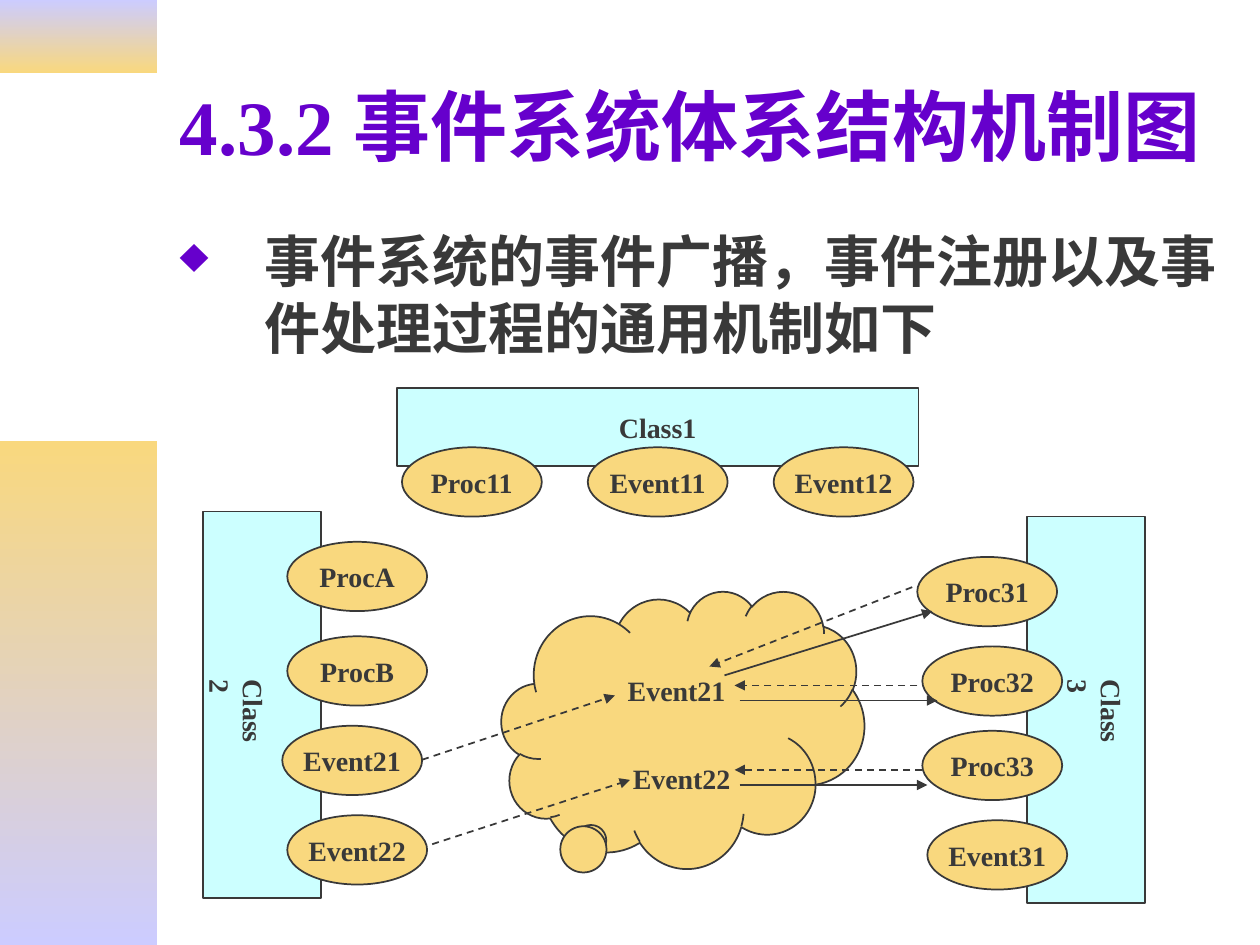
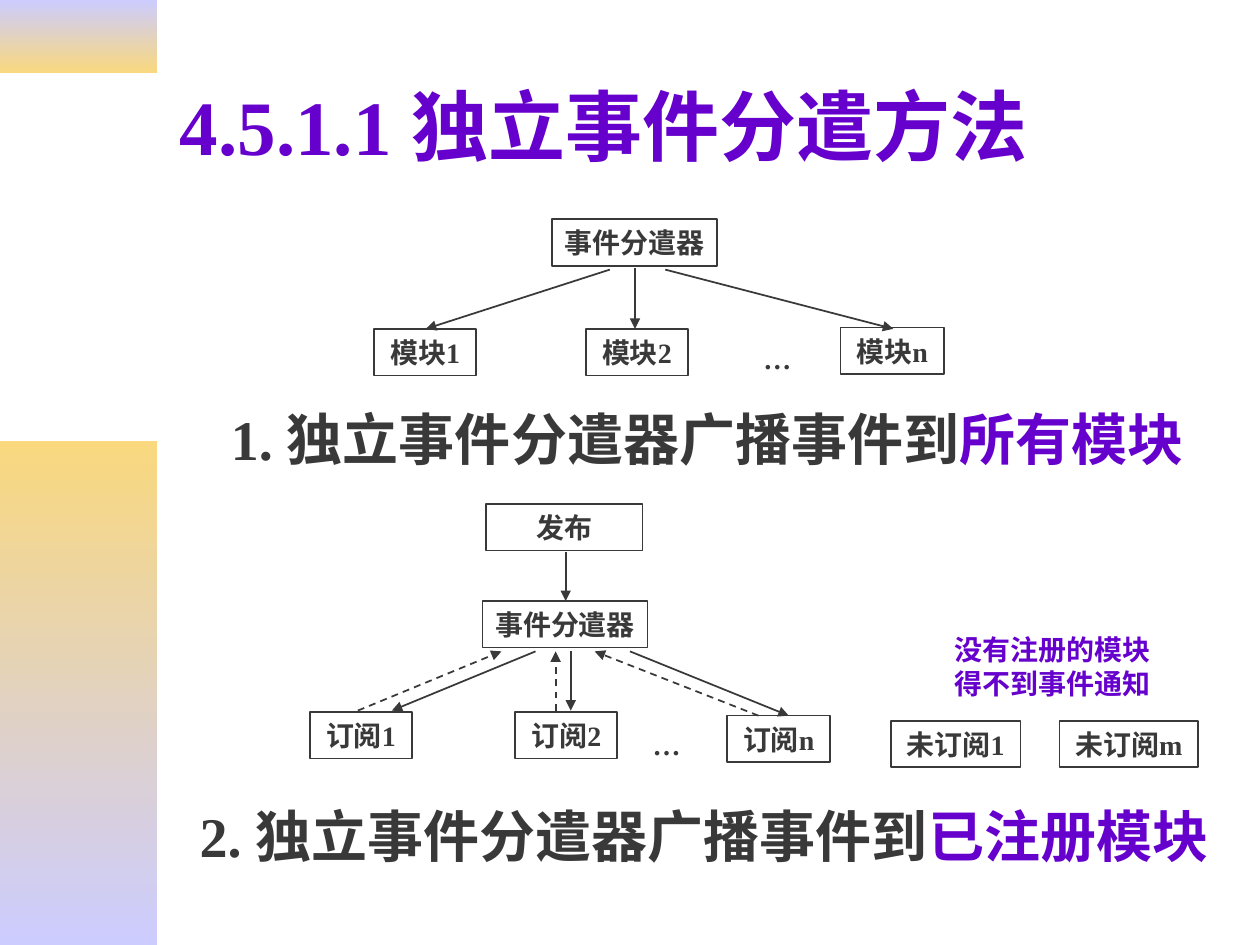
"""Two slides on how an event system registers and dispatches events."""
from lxml import etree
from pptx import Presentation
from pptx.dml.color import RGBColor
from pptx.enum.dml import MSO_LINE
from pptx.enum.shapes import MSO_CONNECTOR, MSO_SHAPE
from pptx.enum.text import MSO_ANCHOR, PP_ALIGN
from pptx.oxml.ns import qn
from pptx.util import Inches, Pt

RECT, OVAL, CLOUD = MSO_SHAPE.RECTANGLE, MSO_SHAPE.OVAL, MSO_SHAPE.CLOUD_CALLOUT
LINE, DASH = MSO_CONNECTOR.STRAIGHT, MSO_LINE.DASH
LEFT, MID = PP_ALIGN.LEFT, PP_ALIGN.CENTER
TOP, CENTER = MSO_ANCHOR.TOP, MSO_ANCHOR.MIDDLE
FONT = "Times New Roman"
INK, VIOLET, GOLD, LILAC, AQUA = "393939", "6600CC", "F9D87E", "CCCCFF", "CCFFFF"
HIGH = 0.37


def paint(target, color):
    """Give a fill or a font a solid colour."""
    if hasattr(target, "solid"):
        target.solid()
        target.fore_color.rgb = RGBColor.from_string(color)
    else:
        target.color.rgb = RGBColor.from_string(color)


def sub(parent, tag, **attrs):
    """Append a DrawingML element with the given attributes."""
    return etree.SubElement(parent, qn(tag), **attrs)


def write(shape, lines, size=16, align=MID, anchor=CENTER, wrap=False):
    """Fill a shape with lines, each a list of (text, colour) runs."""
    frame = shape.text_frame
    frame.word_wrap = wrap
    frame.vertical_anchor = anchor
    for i, runs in enumerate(lines):
        para = frame.add_paragraph() if i else frame.paragraphs[0]
        para.alignment = align
        for text, color in runs:
            run = para.add_run()
            run.text = text
            run.font.name, run.font.size, run.font.bold = FONT, Pt(size), True
            paint(run.font, color)


def text(slide, at, lines, **style):
    """Add a text box and return it."""
    box = slide.shapes.add_textbox(*map(Inches, at))
    write(box, lines, **style)
    return box


def node(slide, at, label="", fill=None, kind=RECT):
    """Add an outlined shape with an optional label."""
    shape = slide.shapes.add_shape(kind, *map(Inches, at))
    shape.shadow.inherit = False
    if fill:
        paint(shape.fill, fill)
    else:
        shape.fill.background()
    paint(shape.line.fill, INK)
    shape.line.width = Pt(1)
    if label:
        write(shape, [[(label, INK)]])
    return shape


def arrow(slide, x1, y1, x2, y2, dash=False):
    """Draw a solid or dashed arrow from one point to another."""
    link = slide.shapes.add_connector(LINE, *map(Inches, (x1, y1, x2, y2)))
    paint(link.line.fill, INK)
    link.line.width = Pt(1)
    if dash:
        link.line.dash_style = DASH
    props = link._element.spPr
    sub(props.find(qn("a:ln")), "a:tailEnd", type="triangle")
    sub(props, "a:effectLst")


def band(slide, top, height, colors):
    """Draw a side band that fades downwards between two colours."""
    shape = slide.shapes.add_shape(RECT, 0, Inches(top), Inches(1.25), Inches(height))
    shape.shadow.inherit = False
    shape.line.fill.background()
    shape.fill.gradient()
    shape.fill.gradient_angle = 270
    for stop, color in zip(shape.fill.gradient_stops, colors):
        paint(stop, color)


def start(deck, title):
    """Add a slide with the side bands and a title."""
    slide = deck.slides.add_slide(deck.slide_layouts[6])
    band(slide, 0, 0.58, (LILAC, GOLD))
    band(slide, 3.5, 4, (GOLD, LILAC))
    text(slide, (1.33, 0.33, 8.5, 1.32), [[(title, VIOLET)]],
         size=44, align=LEFT, wrap=True)
    return slide


def body(slide, at, runs, align=MID, bullet=False):
    """Add a large hanging paragraph, with or without a bullet."""
    box = text(slide, at, [runs], size=32, align=align, anchor=TOP, wrap=True)
    props = box.text_frame.paragraphs[0]._p.get_or_add_pPr()
    props.set("marL", str(Inches(0.67)))
    props.set("indent", str(-Inches(0.67)))
    if bullet:
        sub(sub(props, "a:buClr"), "a:srgbClr", val=VIOLET)
        sub(props, "a:buSzPct", val="90000")
        sub(props, "a:buChar", char="♦")


def oval(slide, left, top, label):
    """Add a procedure or event ellipse."""
    node(slide, (left, top, 1.11, 0.55), label, GOLD, OVAL)


def side(slide, left, top, x, label, members):
    """Add a tall class block with a vertical name and its ellipses."""
    node(slide, (left, top, 0.94, 3.07), fill=AQUA)
    name = text(slide, (x, 5.29, 0.46, 0.79), [[(label, INK)]],
                align=LEFT, anchor=TOP, wrap=True)
    frame = name.text_frame
    frame.margin_left = frame.margin_right = Inches(0.05)
    frame.margin_top = frame.margin_bottom = Inches(0.1)
    frame._txBody.bodyPr.set("vert", "eaVert")
    for member in members:
        oval(slide, *member)


def scheme(deck):
    """Build the slide on the event system structure."""
    slide = start(deck, "4.3.2 事件系统体系结构机制图")
    body(slide, (1.33, 1.75, 8.5, 1.41),
         [("事件系统的事件广播，事件注册以及事件处理过程的通用机制如下", INK)], LEFT, True)
    node(slide, (3.15, 3.08, 4.14, 0.62), "Class1", AQUA)
    for i, label in enumerate(("Proc11", "Event11", "Event12")):
        oval(slide, 3.19 + 1.475 * i, 3.55, label)
    side(slide, 1.61, 4.06, 1.74, "Class2", (
        (2.28, 4.3, "ProcA"), (2.28, 5.05, "ProcB"),
        (2.24, 5.76, "Event21"), (2.28, 6.47, "Event22")))
    side(slide, 8.15, 4.1, 8.55, "Class3", (
        (7.28, 4.42, "Proc31"), (7.32, 5.13, "Proc32"),
        (7.32, 5.8, "Proc33"), (7.36, 6.51, "Event31")))
    cloud = node(slide, (3.98, 4.69, 2.88, 2.2), fill=GOLD, kind=CLOUD)
    cloud.adjustments[0], cloud.adjustments[1] = -0.26, 0.41
    for left, top, label in ((4.88, 5.29, "Event21"), (4.92, 5.99, "Event22")):
        text(slide, (left, top, 0.98, HIGH), [[(label, INK)]])
    for ends in ((3.35, 6.03, 4.88, 5.52), (3.43, 6.7, 5, 6.19),
                 (7.24, 4.66, 5.63, 5.29), (7.28, 5.44, 5.83, 5.44),
                 (7.32, 6.11, 5.83, 6.11)):
        arrow(slide, *ends, dash=True)
    for ends in ((5.75, 5.36, 7.4, 4.85), (5.87, 5.56, 7.44, 5.56),
                 (5.87, 6.23, 7.36, 6.23)):
        arrow(slide, *ends)


def dispatch(deck):
    """Build the slide on the two ways of dispatching events."""
    slide = start(deck, "4.5.1.1 独立事件分遣方法")
    body(slide, (1.5, 3.16, 8.23, 0.66),
         [("1. 独立事件分遣器广播事件到", INK), ("所有模块", VIOLET)])
    body(slide, (1.34, 6.31, 8.5, 0.66),
         [("2. 独立事件分遣器广播事件到", INK), ("已注册模块", VIOLET)])
    for left, top, width, label in (
            (4.38, 1.74, 1.31, "事件分遣器"), (2.97, 2.61, 0.81, "模块1"),
            (4.65, 2.61, 0.81, "模块2"), (6.67, 2.6, 0.82, "模块n"),
            (3.86, 4, 1.24, "发布"), (3.83, 4.77, 1.31, "事件分遣器"),
            (2.46, 5.65, 0.81, "订阅1"), (4.09, 5.65, 0.81, "订阅2"),
            (5.77, 5.68, 0.82, "订阅n"), (7.07, 5.72, 1.03, "未订阅1"),
            (8.41, 5.72, 1.1, "未订阅m")):
        node(slide, (left, top, width, HIGH), label)
    for left, top in ((5.96, 2.66), (5.08, 5.72)):
        text(slide, (left, top, 0.42, HIGH), [[("…", INK)]])
    for ends in ((4.84, 2.14, 3.38, 2.61), (5.04, 2.13, 5.04, 2.61),
                 (5.28, 2.14, 7.09, 2.61), (4.49, 4.38, 4.49, 4.77),
                 (4.25, 5.17, 3.11, 5.64), (4.53, 5.17, 4.53, 5.64),
                 (5, 5.17, 6.26, 5.68)):
        arrow(slide, *ends)
    for ends in ((2.84, 5.64, 3.98, 5.17), (4.41, 5.64, 4.41, 5.17),
                 (6.02, 5.68, 4.72, 5.17)):
        arrow(slide, *ends, dash=True)
    text(slide, (7.48, 4.97, 1.75, 0.64),
         [[("没有注册的模块", VIOLET)], [("得不到事件通知", VIOLET)]])


def main():
    """Build and save the deck."""
    deck = Presentation()
    deck.slide_width, deck.slide_height = Inches(10), Inches(7.5)
    scheme(deck)
    dispatch(deck)
    deck.save("out.pptx")


if __name__ == "__main__":
    main()
